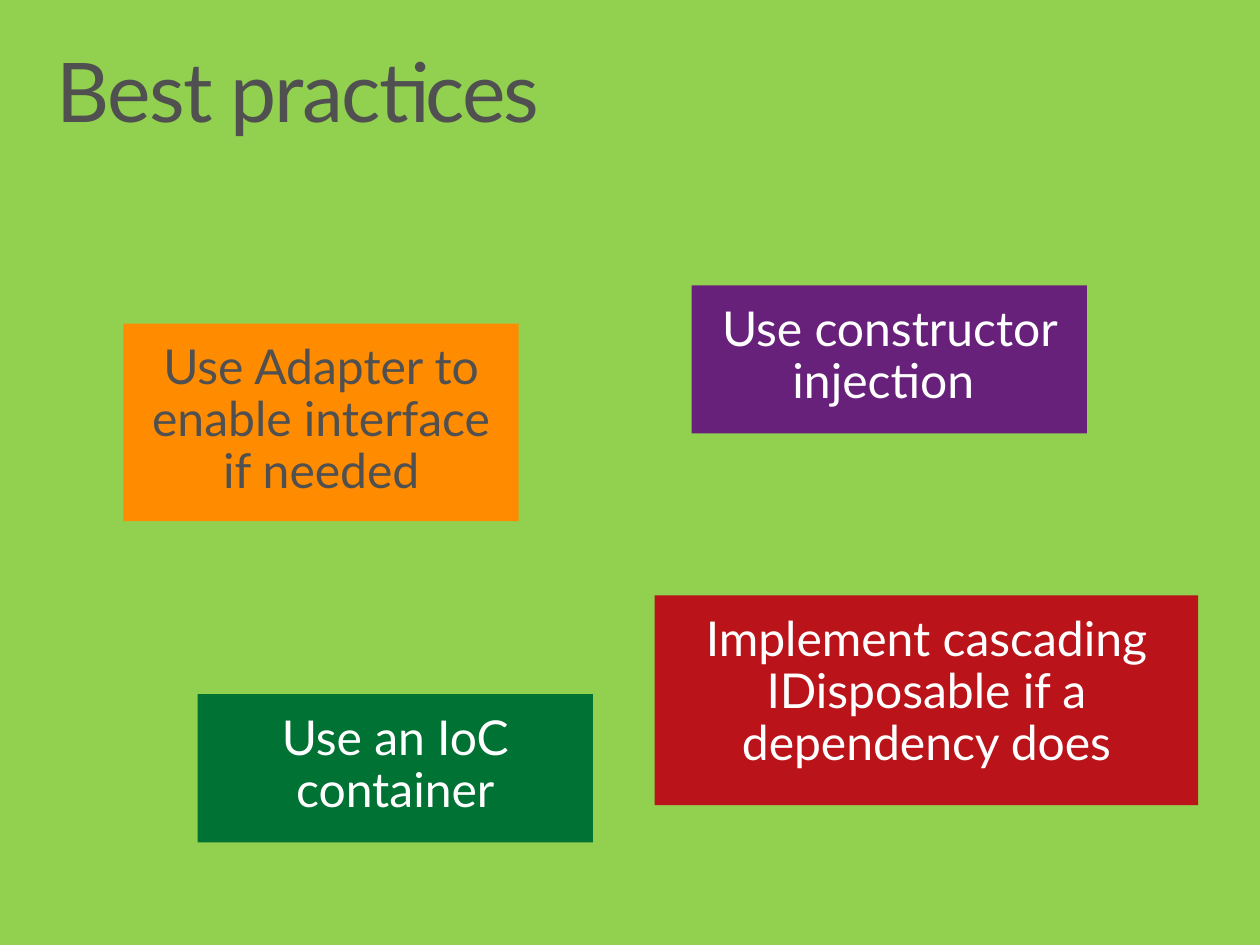
"""Build the "Best practices" slide with its four coloured advice boxes."""
from dataclasses import dataclass

from pptx import Presentation
from pptx.dml.color import RGBColor
from pptx.enum.shapes import MSO_SHAPE
from pptx.enum.text import MSO_ANCHOR, PP_ALIGN
from pptx.slide import Slide
from pptx.text.text import TextFrame
from pptx.util import Pt

FONT = "Lato"
LIME = RGBColor(0x92, 0xD0, 0x50)
GREY = RGBColor(0x50, 0x50, 0x50)
WHITE = RGBColor(0xFF, 0xFF, 0xFF)
PURPLE = RGBColor(0x68, 0x21, 0x7A)
RED = RGBColor(0xBA, 0x14, 0x1A)
ORANGE = RGBColor(0xFF, 0x8C, 0x00)
GREEN = RGBColor(0x00, 0x72, 0x33)


@dataclass(frozen=True)
class Advice:
    """One advice box, with lengths in points."""

    text: str
    left: float
    top: float
    width: float
    height: float
    fill: RGBColor
    color: RGBColor = WHITE


ADVICE = [
    Advice("Use constructor injection ", 403.2, 166.3, 230.4, 86.4, PURPLE),
    Advice("Implement cascading IDisposable if a dependency does",
           381.6, 347, 316.8, 122.4, RED),
    Advice("Use Adapter to enable interface if needed",
           72, 188.6, 230.4, 115.2, ORANGE, GREY),
    Advice("Use an IoC container", 115.2, 404.6, 230.4, 86.4, GREEN),
]


def write(frame: TextFrame, text: str, size: float, color: RGBColor,
          align: PP_ALIGN, inset_x: float, inset_y: float) -> None:
    """Fill a frame with one top-anchored, formatted paragraph."""
    frame.text = text
    frame.word_wrap = True
    frame.vertical_anchor = MSO_ANCHOR.TOP
    frame.margin_left = frame.margin_right = Pt(inset_x)
    frame.margin_top = frame.margin_bottom = Pt(inset_y)
    para = frame.paragraphs[0]
    para.alignment = align
    para.line_spacing = 0.9
    font = para.runs[0].font
    font.name = FONT
    font.size = Pt(size)
    font.color.rgb = color


def add_title(page: Slide, text: str) -> None:
    """Place and format the title placeholder."""
    title = page.shapes.title
    title.left, title.top = Pt(21.6), Pt(23)
    title.width, title.height = Pt(691.2), Pt(72)
    write(title.text_frame, text, 48, GREY, PP_ALIGN.LEFT, 11.5, 7.2)
    span = title.text_frame.paragraphs[0].runs[0]
    span.font._element.set("spc", "-100")


def add_advice(page: Slide, advice: Advice) -> None:
    """Draw one advice box."""
    box = page.shapes.add_shape(
        MSO_SHAPE.RECTANGLE, Pt(advice.left), Pt(advice.top),
        Pt(advice.width), Pt(advice.height))
    box.shadow.inherit = False
    box.fill.solid()
    box.fill.fore_color.rgb = advice.fill
    box.line.fill.background()
    write(box.text_frame, advice.text, 28, advice.color,
          PP_ALIGN.CENTER, 14.4, 11.5)


def main() -> None:
    """Build and save the deck."""
    deck = Presentation()
    deck.slide_width, deck.slide_height = Pt(734.4), Pt(550.8)
    page = deck.slides.add_slide(deck.slide_layouts[5])
    page.background.fill.solid()
    page.background.fill.fore_color.rgb = LIME
    add_title(page, "Best practices")
    for advice in ADVICE:
        add_advice(page, advice)
    deck.save("out.pptx")


if __name__ == "__main__":
    main()
